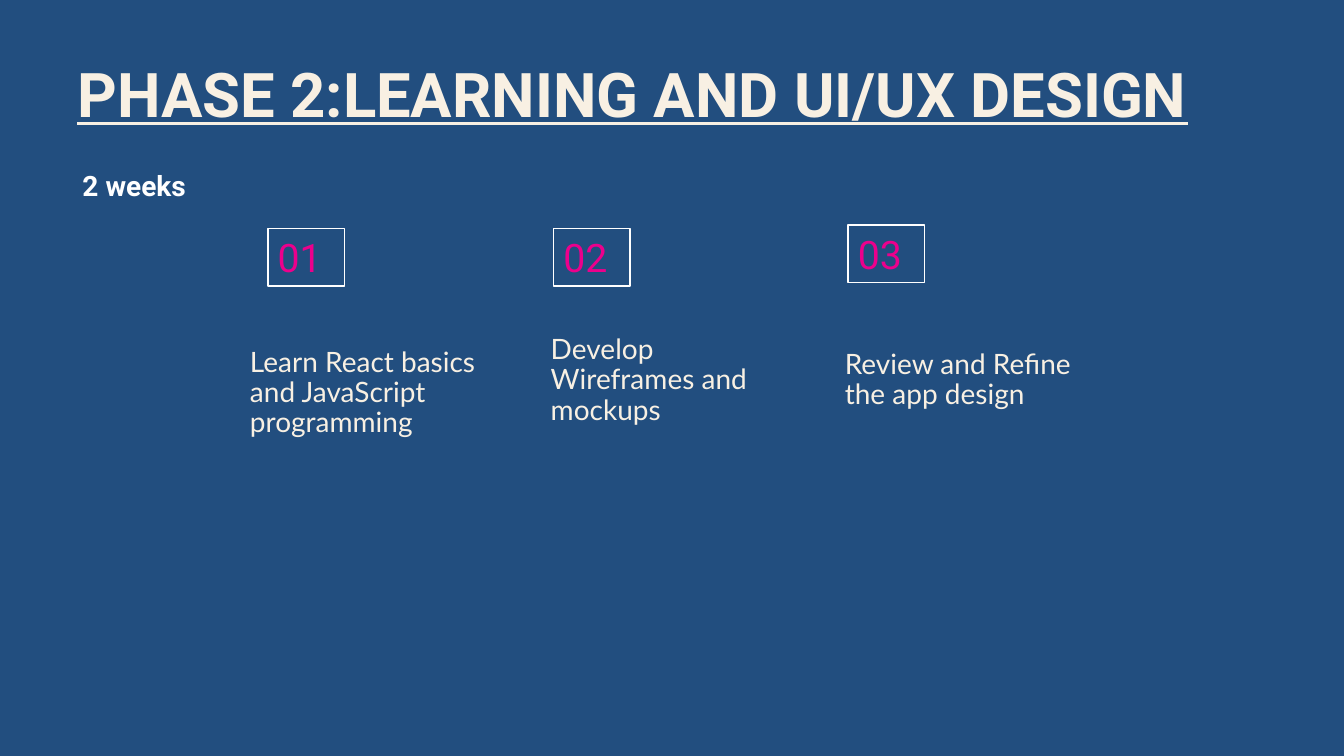
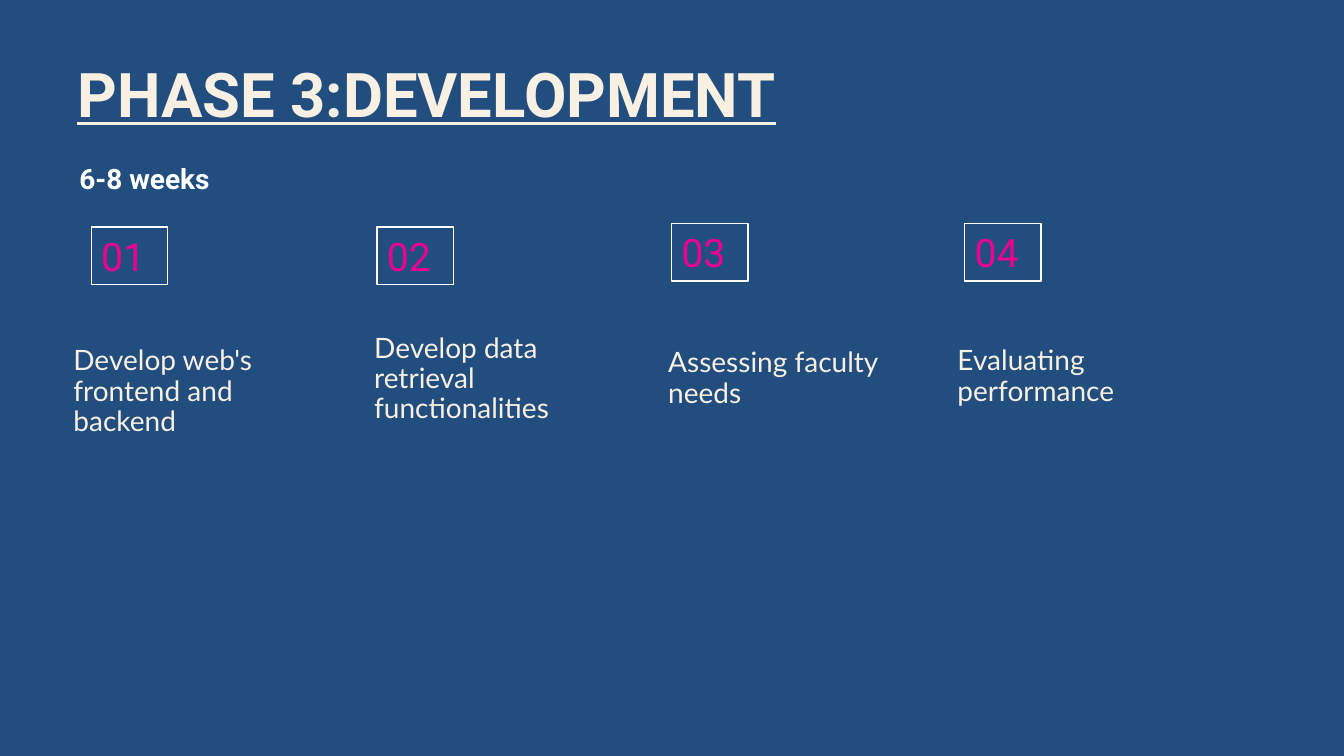
from dataclasses import dataclass

from pptx import Presentation
from pptx.dml.color import RGBColor
from pptx.enum import shapes, text
from pptx.util import Cm, Pt

BLUE, CREAM, WHITE, PINK = "224E7F", "F8F0E3", "FFFFFF", "EC008C"

TITLE = {"name": "Roboto", "size": Pt(44), "bold": True, "underline": True, "color": CREAM}
DURATION = {"name": "Roboto", "size": Pt(20), "bold": True, "color": WHITE}
NUMBER = {"name": "Roboto", "size": Pt(28), "color": PINK}
STEP = {"name": "Lato", "size": Pt(20), "color": CREAM}

TIGHT = {"line_spacing": 0.9}
STEP_SPACING = {"line_spacing": 0.9, "space_before": Pt(10)}


@dataclass
class Column:
    """Offsets in cm of one step's badge and text from the corner of the row."""
    badge_left: float
    badge_top: float
    text_left: float
    text_top: float
    text_width: float


COLUMNS = [
    Column(0.7, 0, 0, 2.89, 6.86),
    Column(7.9, 0, 7.58, 2.57, 6.35),
    Column(15.32, -0.09, 14.99, 2.94, 6.78),
    Column(22.71, -0.09, 22.28, 2.89, 6.35),
]
BADGE_WIDTH, BADGE_HEIGHT = 1.93, 1.45
STEP_HEIGHT = 7

# title, duration, duration corner, row corner, steps
PHASES = [
    ("PHASE 2:LEARNING AND UI/UX DESIGN", "2 weeks", (1.83, 4.11), (6.05, 5.76),
     ["Learn React basics and JavaScript programming",
      "Develop Wireframes and mockups",
      "Review and Refine the app design"]),
    ("PHASE 3:DEVELOPMENT", "6-8 weeks", (1.75, 3.94), (1.6, 5.72),
     ["Develop web's frontend and backend",
      "Develop data retrieval functionalities",
      "Assessing faculty needs",
      "Evaluating performance"]),
]


def color(value):
    return RGBColor.from_string(value)


def write(shape, words, font_format, paragraph_format=None):
    frame = shape.text_frame
    frame.word_wrap = True
    frame.vertical_anchor = text.MSO_ANCHOR.TOP
    paragraph = frame.paragraphs[0]
    paragraph.alignment = text.PP_ALIGN.LEFT
    for name, value in (paragraph_format or {}).items():
        setattr(paragraph, name, value)
    run = paragraph.add_run()
    run.text = words
    for name, value in font_format.items():
        if name == "color":
            run.font.color.rgb = color(value)
        else:
            setattr(run.font, name, value)


def add_text(slide, box, words, font_format, paragraph_format=None):
    shape = slide.shapes.add_textbox(*map(Cm, box))
    write(shape, words, font_format, paragraph_format)


def add_badge(slide, box, number):
    badge = slide.shapes.add_shape(shapes.MSO_SHAPE.RECTANGLE, *map(Cm, box))
    badge.shadow.inherit = False
    badge.fill.background()
    badge.line.color.rgb = color(WHITE)
    badge.line.width = Pt(1)
    write(badge, f"{number:02}", NUMBER)


def add_steps(slide, corner, steps):
    left, top = corner
    for number, (column, step) in enumerate(zip(COLUMNS, steps), 1):
        add_badge(slide, (left + column.badge_left, top + column.badge_top,
                          BADGE_WIDTH, BADGE_HEIGHT), number)
        add_text(slide, (left + column.text_left, top + column.text_top,
                         column.text_width, STEP_HEIGHT), step, STEP, STEP_SPACING)


def add_phase_slide(presentation, title, duration, duration_corner, row_corner, steps):
    slide = presentation.slides.add_slide(presentation.slide_layouts[6])
    slide.background.fill.solid()
    slide.background.fill.fore_color.rgb = color(BLUE)
    add_text(slide, (1.7, 1.5, 31.22, 3.68), title, TITLE, TIGHT)
    add_text(slide, (*duration_corner, 4.9, 1.12), duration, DURATION)
    add_steps(slide, row_corner, steps)


def main():
    presentation = Presentation()
    presentation.slide_width, presentation.slide_height = Cm(33.87), Cm(19.05)
    for phase in PHASES:
        add_phase_slide(presentation, *phase)
    presentation.save("out.pptx")


if __name__ == "__main__":
    main()
